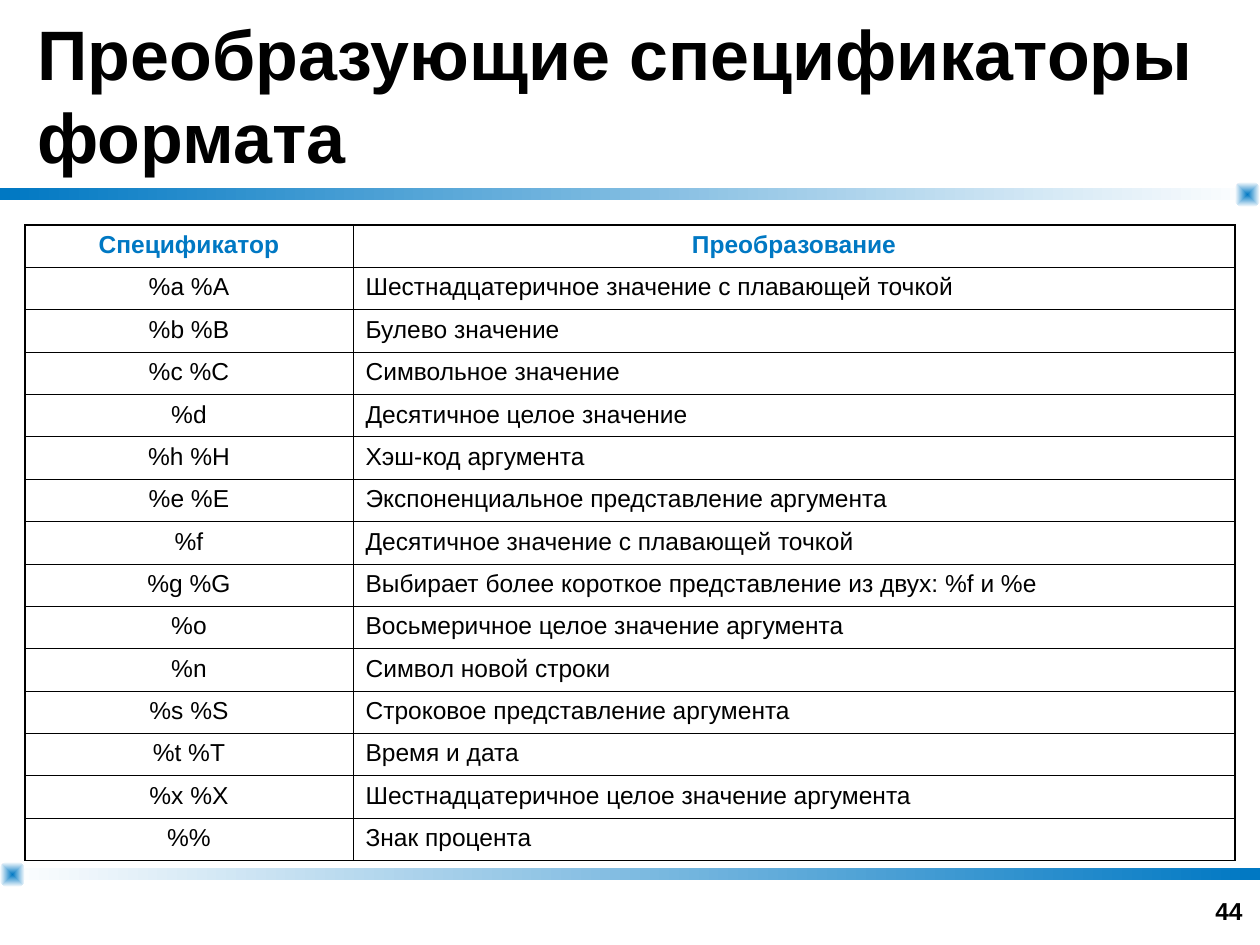
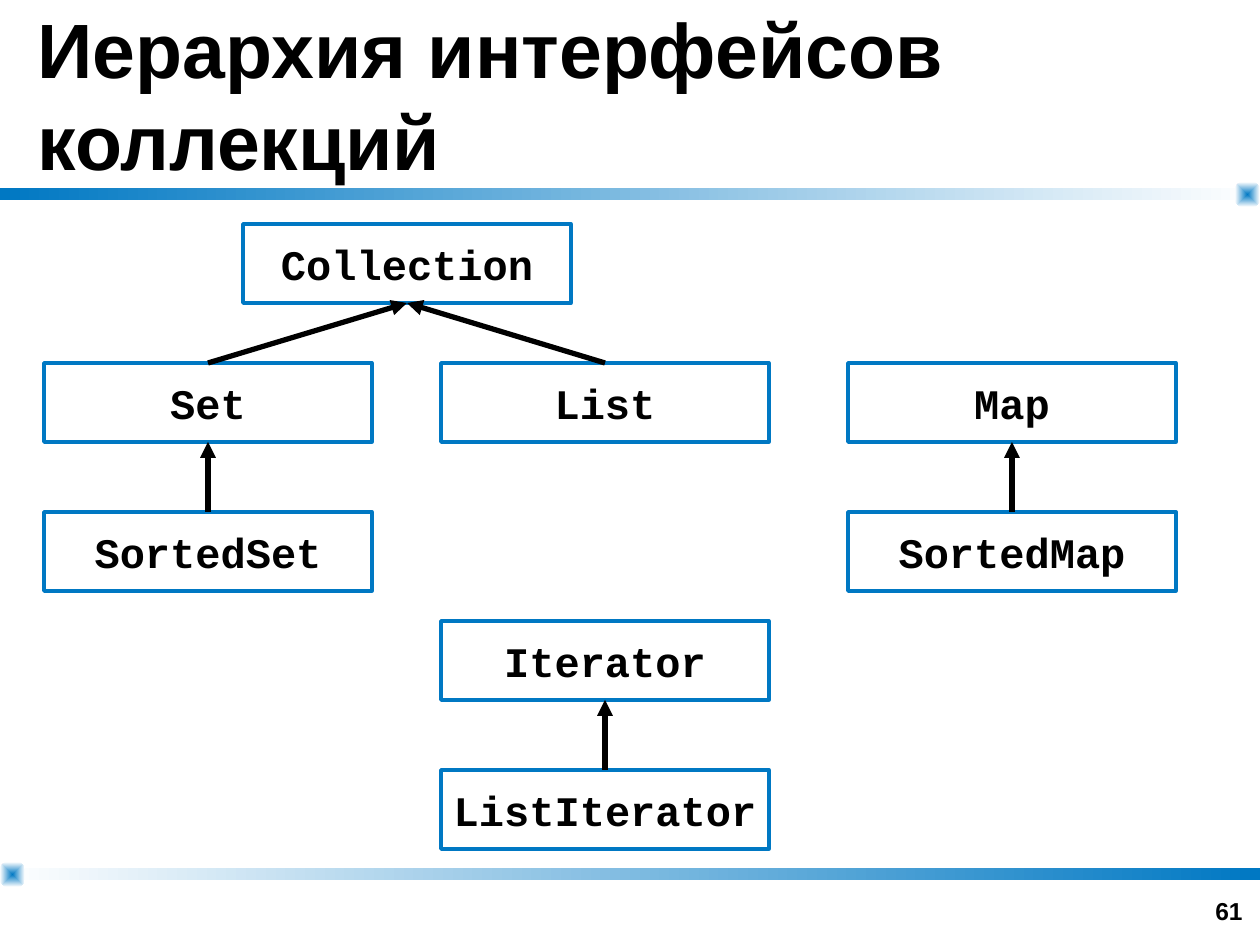
"""Builds two Java lecture slides: format specifiers and collection interfaces."""
from lxml.etree import SubElement
from pptx import Presentation
from pptx.dml.color import RGBColor as RGB
from pptx.enum.shapes import MSO_CONNECTOR as LINK, MSO_SHAPE as SHAPE
from pptx.enum.text import MSO_ANCHOR as ANCHOR, MSO_AUTO_SIZE as FIT, PP_ALIGN as ALIGN
from pptx.oxml.ns import qn
from pptx.util import Emu, Pt

SCALE = 914400 / 126
WIDTH, HEIGHT = 1260, 945
COLOURS = {"accent": "0078C3", "ink": "000000", "paper": "FFFFFF"}
SANS, MONO = "Arial", "Courier New"
OUTER, INNER = 1.08, 0.45

SPECIFIERS = [
    ("Спецификатор", "Преобразование"),
    ("%a %A", "Шестнадцатеричное значение с плавающей точкой"),
    ("%b %B", "Булево значение"),
    ("%c %C", "Символьное значение"),
    ("%d", "Десятичное целое значение"),
    ("%h %H", "Хэш-код аргумента"),
    ("%e %E", "Экспоненциальное представление аргумента"),
    ("%f", "Десятичное значение с плавающей точкой"),
    ("%g %G", "Выбирает более короткое представление из двух: %f и %e"),
    ("%o", "Восьмеричное целое значение аргумента"),
    ("%n", "Символ новой строки"),
    ("%s %S", "Строковое представление аргумента"),
    ("%t %T", "Время и дата"),
    ("%x %X", "Шестнадцатеричное целое значение аргумента"),
    ("%%", "Знак процента"),
]

LEFT, MIDDLE, RIGHT = 44, 441, 848
INTERFACES = {
    "Collection": (243, 224),
    "Set": (LEFT, 363),
    "List": (MIDDLE, 363),
    "SortedSet": (LEFT, 512),
    "Map": (RIGHT, 363),
    "SortedMap": (RIGHT, 512),
    "Iterator": (MIDDLE, 621),
    "ListIterator": (MIDDLE, 770),
}
PARENTS = {
    "Set": "Collection",
    "List": "Collection",
    "SortedSet": "Set",
    "SortedMap": "Map",
    "ListIterator": "Iterator",
}


def px(*lengths):
    return [Emu(round(length * SCALE)) for length in lengths]


def colour(name):
    return RGB.from_string(COLOURS[name])


def write(frame, text, size=14, font=SANS, ink="ink", bold=True, align=ALIGN.LEFT, anchor=None):
    frame.word_wrap = True
    if anchor is not None:
        frame.vertical_anchor = anchor
    paragraph = frame.paragraphs[0]
    paragraph.alignment = align
    run = paragraph.add_run()
    run.text = text
    run.font.size, run.font.name, run.font.bold = Pt(size), font, bold
    run.font.color.rgb = colour(ink)


def rule_cell(cell, widths):
    properties = cell._tc.get_or_add_tcPr()
    for index, (side, width) in enumerate(zip(("lnL", "lnR", "lnT", "lnB"), widths)):
        border = properties.makeelement(qn(f"a:{side}"), {"w": str(Pt(width))})
        fill = SubElement(border, qn("a:solidFill"))
        SubElement(fill, qn("a:srgbClr"), val=COLOURS["ink"])
        properties.insert(index, border)


class Deck:
    def __init__(self):
        self.show = Presentation()
        self.show.slide_width, self.show.slide_height = px(WIDTH, HEIGHT)
        self.slide = None

    def start(self, title, size, number):
        self.slide = self.show.slides.add_slide(self.show.slide_layouts[5])
        self.band(188, "accent", "paper")
        self.band(868, "paper", "accent")
        self.star(WIDTH - 25, 182)
        self.star(0, 862)
        heading = self.slide.shapes.title
        heading.left, heading.top, heading.width, heading.height = px(25, 0, 1210, 188)
        heading.text_frame.auto_size = FIT.NONE
        write(heading.text_frame, title, size=size, anchor=ANCHOR.MIDDLE)
        page = self.slide.shapes.add_textbox(*px(961, 869, 294, 63))
        write(page.text_frame, str(number), align=ALIGN.RIGHT, anchor=ANCHOR.BOTTOM)

    def shape(self, kind, *place):
        drawn = self.slide.shapes.add_shape(kind, *px(*place))
        drawn.shadow.inherit = False
        return drawn

    def gradient(self, kind, place, first, last):
        drawn = self.shape(kind, *place)
        drawn.line.fill.background()
        drawn.fill.gradient()
        drawn.fill.gradient_angle = 0
        for stop, name in zip(drawn.fill.gradient_stops, (first, last)):
            stop.color.rgb = colour(name)
        return drawn

    def band(self, top, first, last):
        self.gradient(SHAPE.RECTANGLE, (0, top, WIDTH, 12), first, last)

    def star(self, left, top):
        drawn = self.gradient(SHAPE.ROUNDED_RECTANGLE, (left, top, 25, 25), "accent", "paper")
        drawn.adjustments[0] = 0.32
        gradient = drawn._element.spPr.find(qn("a:gradFill"))
        gradient.remove(gradient.find(qn("a:lin")))
        centre = SubElement(gradient, qn("a:path"), path="rect")
        SubElement(centre, qn("a:fillToRect"), dict.fromkeys("ltrb", "50000"))

    def table(self, rows, place, widths):
        grid = self.slide.shapes.add_table(len(rows), len(widths), *px(*place)).table
        grid.first_row = grid.horz_banding = False
        for column, width in zip(grid.columns, px(*widths)):
            column.width = width
        last_row, last_column = len(rows) - 1, len(widths) - 1
        for r, row in enumerate(rows):
            for c, text in enumerate(row):
                cell = grid.cell(r, c)
                cell.fill.solid()
                cell.fill.fore_color.rgb = colour("paper")
                edges = (c == 0, c == last_column, r == 0, r == last_row)
                rule_cell(cell, [OUTER if edge else INNER for edge in edges])
                header = r == 0
                write(cell.text_frame, text, bold=header, ink="accent" if header else "ink",
                      align=ALIGN.CENTER if header or c == 0 else ALIGN.LEFT)

    def box(self, text, left, top):
        drawn = self.shape(SHAPE.RECTANGLE, left, top, 328, 79)
        drawn.fill.solid()
        drawn.fill.fore_color.rgb = colour("paper")
        drawn.line.color.rgb = colour("accent")
        drawn.line.width = Pt(2)
        write(drawn.text_frame, text, size=24, font=MONO, align=ALIGN.CENTER, anchor=ANCHOR.MIDDLE)
        return drawn

    def arrow(self, child, parent):
        link = self.slide.shapes.add_connector(LINK.STRAIGHT, 0, 0, 0, 0)
        link.begin_connect(child, 0)
        link.end_connect(parent, 2)
        link.line.color.rgb = colour("ink")
        link.line.width = Pt(3)
        SubElement(link.line._get_or_add_ln(), qn("a:tailEnd"), type="triangle")
        SubElement(link._element.spPr, qn("a:effectLst"))


def main():
    deck = Deck()

    deck.start("Преобразующие спецификаторы формата", 40, 44)
    deck.table(SPECIFIERS, (25, 225, 1210, 636), (328, 882))

    deck.start("Иерархия интерфейсов коллекций", 44, 61)
    boxes = {name: deck.box(name, *place) for name, place in INTERFACES.items()}
    for child, parent in PARENTS.items():
        deck.arrow(boxes[child], boxes[parent])

    deck.show.save("out.pptx")


if __name__ == "__main__":
    main()
